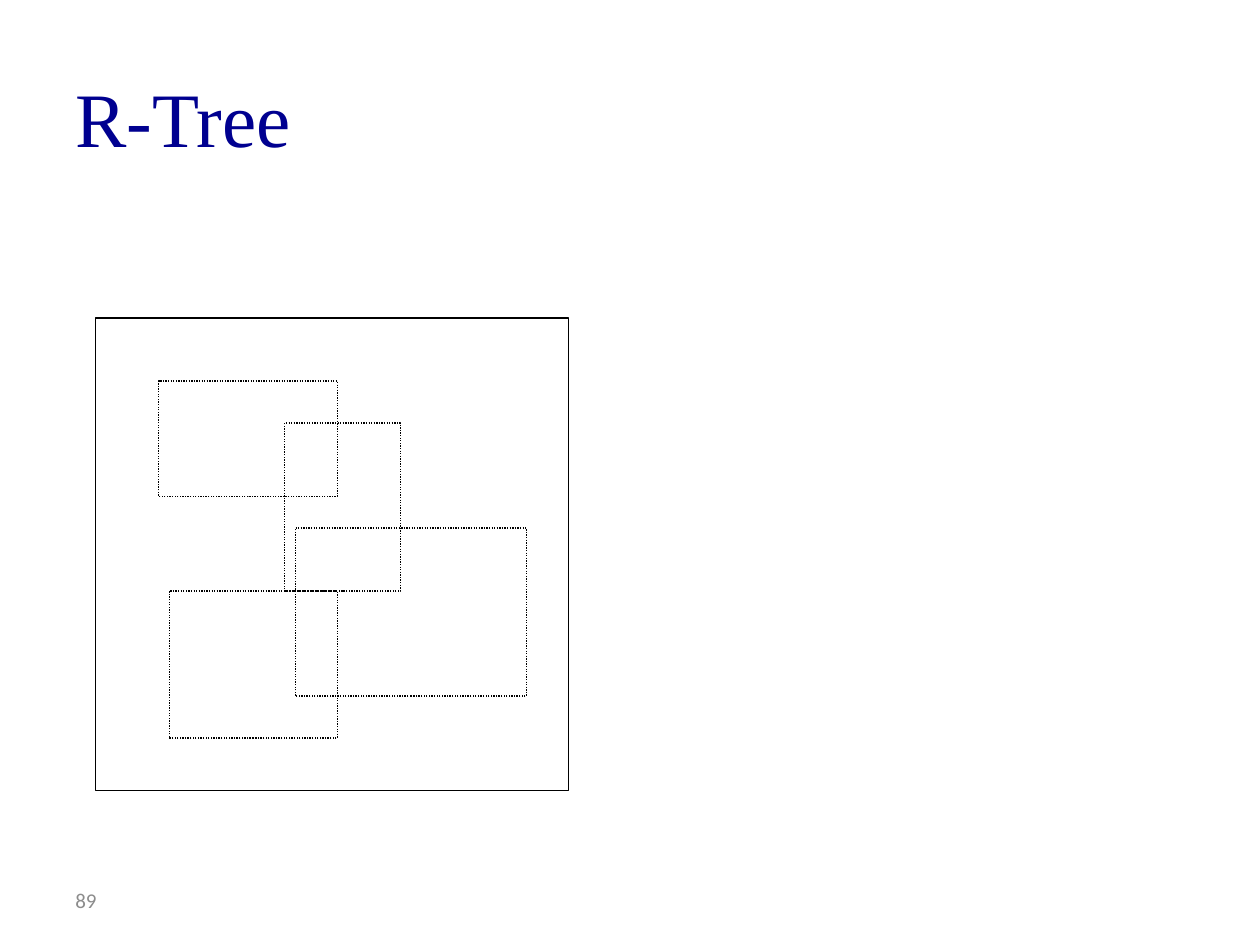
from pptx import Presentation
from pptx.dml.color import RGBColor
from pptx.enum.dml import MSO_LINE
from pptx.enum.shapes import MSO_SHAPE
from pptx.enum.text import MSO_ANCHOR
from pptx.util import Cm, Pt

COLORS = {"title": "000090", "number": "8C8C8C", "outline": "000000"}

GRID_CELLS = 45  # cells along each side of the indexed space
# Bounding rectangles in grid cells: column, row, columns wide, rows high
BOUNDING_RECTANGLES = [
    (6, 6, 17, 11),
    (18, 10, 11, 16),
    (7, 26, 16, 14),
    (19, 20, 22, 16),
]


def add_label(slide, box, text, font_name, size, color):
    label = slide.shapes.add_textbox(*box)
    frame = label.text_frame
    frame.word_wrap = True
    frame.vertical_anchor = MSO_ANCHOR.MIDDLE
    frame.text = text
    font = frame.paragraphs[0].runs[0].font
    font.name = font_name
    font.size = Pt(size)
    font.color.rgb = RGBColor.from_string(color)


def add_outline(slide, box, dash=None):
    outline = slide.shapes.add_shape(MSO_SHAPE.RECTANGLE, *box)
    outline.shadow.inherit = False
    outline.fill.background()
    outline.line.color.rgb = RGBColor.from_string(COLORS["outline"])
    outline.line.width = Pt(0.75)
    if dash is not None:
        outline.line.dash_style = dash


def add_indexed_space(slide, box):
    """Draw the space and the overlapping bounding rectangles inside it."""
    left, top, width, height = box
    add_outline(slide, box)
    cell_width, cell_height = width / GRID_CELLS, height / GRID_CELLS
    for column, row, columns, rows in BOUNDING_RECTANGLES:
        rectangle = (
            round(left + column * cell_width),
            round(top + row * cell_height),
            round(columns * cell_width),
            round(rows * cell_height),
        )
        add_outline(slide, rectangle, MSO_LINE.ROUND_DOT)


def main():
    presentation = Presentation()
    presentation.slide_width = Cm(25.4)
    presentation.slide_height = Cm(19.05)
    slide = presentation.slides.add_slide(presentation.slide_layouts[6])

    number_box = (Cm(1.27), Cm(17.65), Cm(5.93), Cm(1.01))
    title_box = (Cm(1.27), Cm(0.76), Cm(22.86), Cm(3.18))
    space_box = (Cm(1.93), Cm(6.41), Cm(9.53), Cm(9.53))

    add_label(slide, number_box, "89", "Calibri", 12, COLORS["number"])
    add_label(slide, title_box, "R-Tree", "Times New Roman", 44, COLORS["title"])
    add_indexed_space(slide, space_box)

    presentation.save("out.pptx")


if __name__ == "__main__":
    main()
